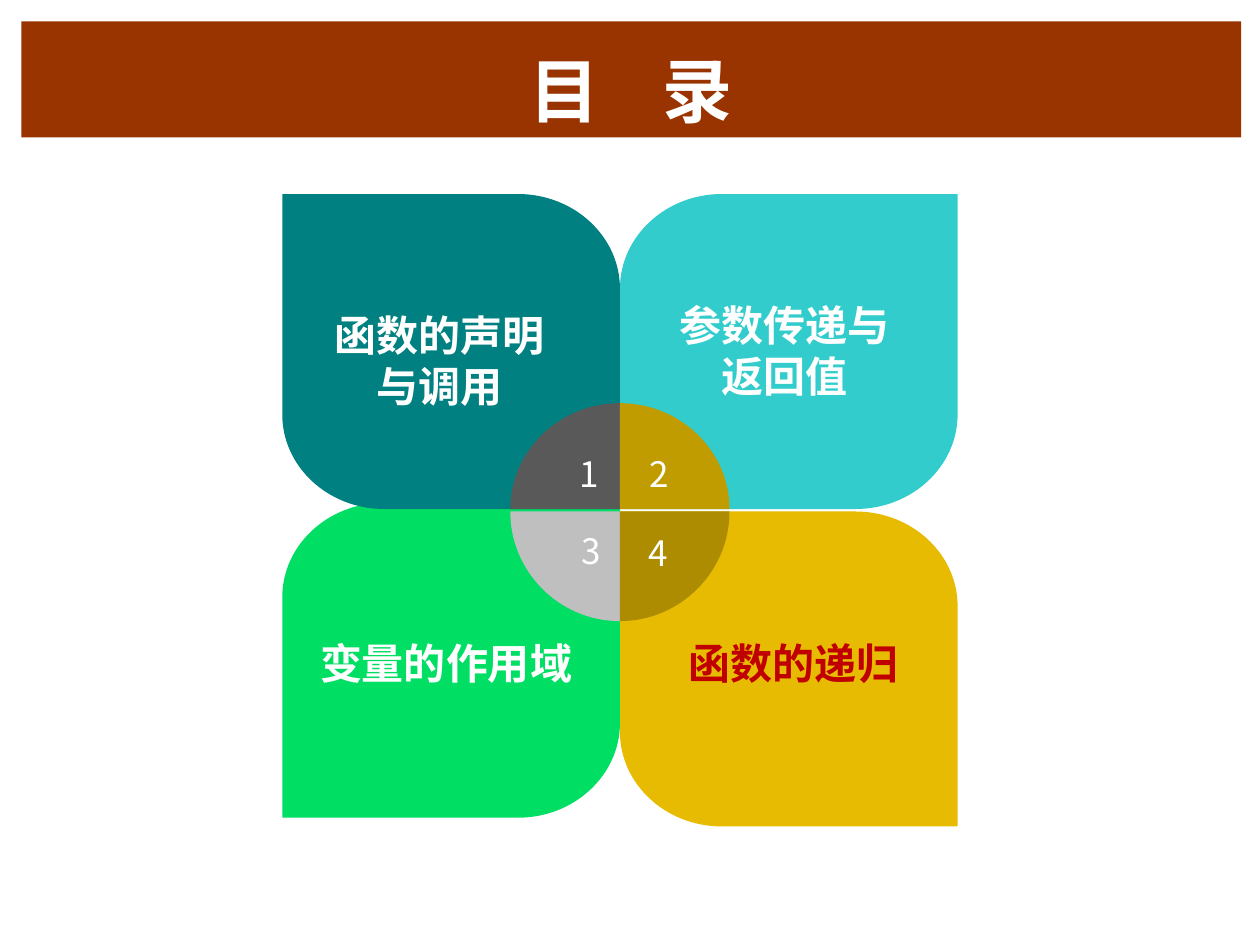
from lxml import etree
from pptx import Presentation
from pptx import util as u
from pptx.dml.color import RGBColor
from pptx.enum import text
from pptx.oxml.ns import qn

WHITE = RGBColor(0xFF, 0xFF, 0xFF)
BROWN = RGBColor(0x99, 0x33, 0x00)
RED = RGBColor(0xC0, 0x00, 0x00)
TEAL = RGBColor(0x00, 0x80, 0x80)
TURQUOISE = RGBColor(0x33, 0xCC, 0xCC)
GREEN = RGBColor(0x00, 0xDE, 0x64)
GOLD = RGBColor(0xE7, 0xBB, 0x01)
DARK_GRAY = RGBColor(0x59, 0x59, 0x59)
LIGHT_GRAY = RGBColor(0xBF, 0xBF, 0xBF)
OCHRE = RGBColor(0xC0, 0x9C, 0x00)
OLIVE = RGBColor(0xAD, 0x8C, 0x01)
CJK_FONT = "Noto Sans CJK SC"

CENTER_X = 4.92
ARC = 0.55  # Bezier handle length of a quarter ellipse, relative to its radius


def write_text(box, words, size, color=WHITE, bold=False, font=CJK_FONT, spacing=0,
               align=text.PP_ALIGN.CENTER, anchor=text.MSO_ANCHOR.TOP):
    """Write one run; spacing is the letter spacing in points."""
    frame = box.text_frame
    frame.word_wrap = True
    frame.vertical_anchor = anchor
    para = frame.paragraphs[0]
    para.alignment = align
    span = para.add_run()
    span.text = words
    span.font.size = u.Pt(size)
    span.font.bold = bold
    span.font.color.rgb = color
    span.font.name = font
    if spacing:
        span.font._element.set("spc", str(spacing * 100))
    east_asian = etree.SubElement(span.font._element, qn("a:ea"))
    east_asian.set("typeface", CJK_FONT)


def draw_outline(page, steps, origin, signs, color):
    """Draw steps (one point: line, three points: curve) outward from origin, mirrored by signs."""
    places = [(u.Inches(origin[0] + signs[0] * x), u.Inches(origin[1] + signs[1] * y))
              for step in steps for x, y in step]
    builder = page.shapes.build_freeform(*places[0], scale=1.0)
    builder.add_line_segments(places[1:], close=True)
    outline = builder.convert_to_shape()
    lines = iter(list(outline._element.iter(qn("a:lnTo"))))
    for step in steps[1:]:
        segment = [next(lines) for _ in step]
        if len(segment) == 3:
            curve = etree.Element(qn("a:cubicBezTo"))
            segment[0].addprevious(curve)
            for line in segment:
                curve.append(line[0])
                line.getparent().remove(line)
    outline.shadow.inherit = False
    outline.fill.solid()
    outline.fill.fore_color.rgb = color
    outline.line.fill.background()


deck = Presentation()
deck.slide_width, deck.slide_height = u.Inches(10), u.Inches(7.5)
page = deck.slides.add_slide(deck.slide_layouts[5])

title = page.shapes.title
title.left, title.top = u.Inches(0.17), u.Inches(0.17)
title.width, title.height = u.Inches(9.68), u.Inches(0.92)
title.fill.solid()
title.fill.fore_color.rgb = BROWN
write_text(title, "目　录", 40, bold=True, font="DejaVu Sans", spacing=-2,
           anchor=text.MSO_ANCHOR.BOTTOM)

# A petal is measured outward from the centre and rounded on two opposite corners
petal = [
    [(0, 1.75)],
    [(0, 2.16), (0.36, 2.5), (0.81, 2.5)],
    [(2.68, 2.5)],
    [(2.68, 0.75)],
    [(2.68, 0.34), (2.32, 0), (1.87, 0)],
    [(0, 0)],
]
for signs, inner_y, color in [((1, 1), 4.06, GOLD), ((-1, 1), 3.99, GREEN),
                              ((1, -1), 4.04, TURQUOISE), ((-1, -1), 4.04, TEAL)]:
    draw_outline(page, petal, (CENTER_X, inner_y), signs, color)

for signs, inner_y, height, color in [
        ((-1, -1), 4.04, 0.84, DARK_GRAY), ((1, -1), 4.04, 0.84, OCHRE),
        ((-1, 1), 4.06, 0.87, LIGHT_GRAY), ((1, 1), 4.06, 0.87, OLIVE)]:
    width = 0.87
    wedge = [[(0, 0)], [(width, 0)],
             [(width, ARC * height), (ARC * width, height), (0, height)]]
    draw_outline(page, wedge, (CENTER_X, inner_y), signs, color)

number_format = dict(size=20, align=text.PP_ALIGN.RIGHT)
topic_format = dict(size=24, bold=True)
labels = [
    ("1", 4.53, 3.59, 0.22, 0.34, 0, number_format),
    ("2", 5.09, 3.59, 0.22, 0.34, 0, number_format),
    ("3", 4.58, 4.2, 0.19, 0.34, 0, number_format),
    ("4", 5.08, 4.22, 0.22, 0.34, 0, number_format),
    ("函数的声明与调用", 2.64, 2.41, 1.7, 0.86, 0.05, topic_format),
    ("参数传递与返回值", 5.24, 2.33, 1.97, 0.86, 0.05, topic_format),
    ("变量的作用域", 2.24, 5.01, 2.6, 0.45, 0.05, topic_format),
    ("函数的递归", 5, 5.01, 2.6, 0.45, 0.05, dict(topic_format, color=RED)),
]
for words, left, top, width, height, inset, style in labels:
    box = page.shapes.add_textbox(*map(u.Inches, (left, top, width, height)))
    frame = box.text_frame
    frame.margin_left = frame.margin_right = frame.margin_bottom = 0
    frame.margin_top = u.Inches(inset)
    write_text(box, words, **style)

deck.save("out.pptx")
